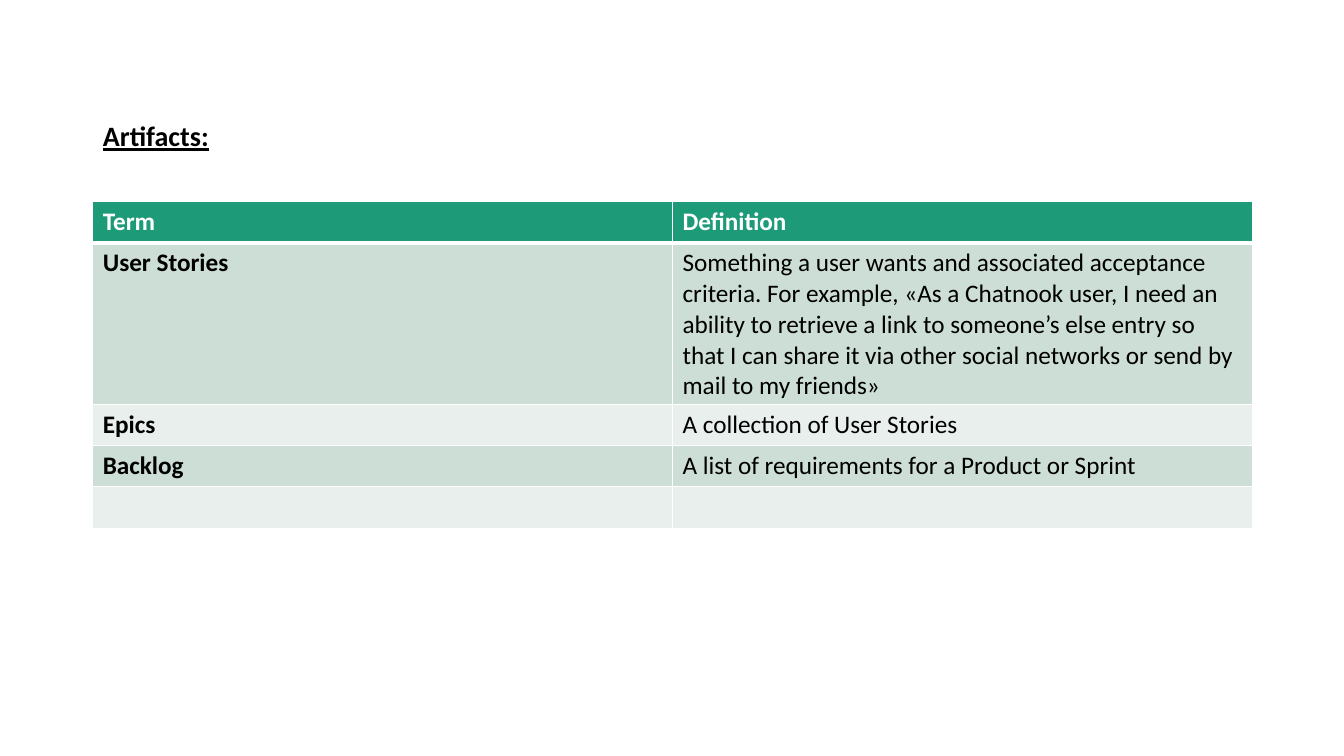
import pptx
import pptx.util
import pptx.dml.color
import pptx.enum.text
import lxml.etree

Inches = pptx.util.Inches
RGBColor = pptx.dml.color.RGBColor
WHITE = RGBColor(0xFF, 0xFF, 0xFF)
BLACK = RGBColor(0, 0, 0)
GREEN = RGBColor(0x1D, 0x9A, 0x78)
SAGE = RGBColor(0xCD, 0xDE, 0xD6)
PALE = RGBColor(0xE8, 0xEF, 0xEC)
NS = "http://schemas.openxmlformats.org/drawingml/2006/main"


def write(frame, text, size=18, color=BLACK, bold=False, line=False):
    para = frame.paragraphs[0]
    para.alignment = pptx.enum.text.PP_ALIGN.LEFT
    run = para.add_run()
    run.text = text
    font = run.font
    font.name = "Calibri"
    font.size = pptx.util.Pt(size)
    font.color.rgb = color
    font.bold = bold
    font.underline = line


def border(cell, side, width):
    props = cell._tc.get_or_add_tcPr()
    edge = lxml.etree.SubElement(props, f"{{{NS}}}{side}", w=str(pptx.util.Pt(width)))
    fill = lxml.etree.SubElement(edge, f"{{{NS}}}solidFill")
    lxml.etree.SubElement(fill, f"{{{NS}}}srgbClr", val=str(WHITE))


deck = pptx.Presentation()
deck.slide_width = Inches(13.33)
deck.slide_height = Inches(7.5)
slide = deck.slides.add_slide(deck.slide_layouts[5])

title = slide.shapes.title
title.left, title.top = Inches(0.92), Inches(1.13)
title.width, title.height = Inches(1.27), Inches(0.44)
frame = title.text_frame
frame.word_wrap = False
frame.auto_size = pptx.enum.text.MSO_AUTO_SIZE.SHAPE_TO_FIT_TEXT
frame.vertical_anchor = pptx.enum.text.MSO_ANCHOR.TOP
write(frame, "Artifacts:", size=20, bold=True, line=True)

terms = [
    ("Term", "Definition"),
    ("User Stories",
     "Something a user wants and associated acceptance criteria. "
     "For example, «As a Chatnook user, I need an ability to retrieve "
     "a link to someone’s else entry so that I can share it via other "
     "social networks or send by mail to my friends»"),
    ("Epics", "A collection of User Stories"),
    ("Backlog", "A list of requirements for a Product or Sprint"),
    ("", ""),
]
tall = [0.41, 1.6, 0.41, 0.41, 0.41]
grid = slide.shapes.add_table(
    len(terms), 2, Inches(0.92), Inches(2), Inches(11.5), Inches(sum(tall))).table

for row, pair in enumerate(terms):
    grid.rows[row].height = Inches(tall[row])
    head = row == 0
    shade = GREEN if head else SAGE if row % 2 else PALE
    for col, text in enumerate(pair):
        cell = grid.cell(row, col)
        for side in ("lnL", "lnR", "lnT", "lnB"):
            thick = (head and side == "lnB") or (row == 1 and side == "lnT")
            border(cell, side, 3 if thick else 1)
        cell.fill.solid()
        cell.fill.fore_color.rgb = shade
        if text:
            write(cell.text_frame, text, color=WHITE if head else BLACK,
                  bold=head or col == 0)

deck.save("out.pptx")
